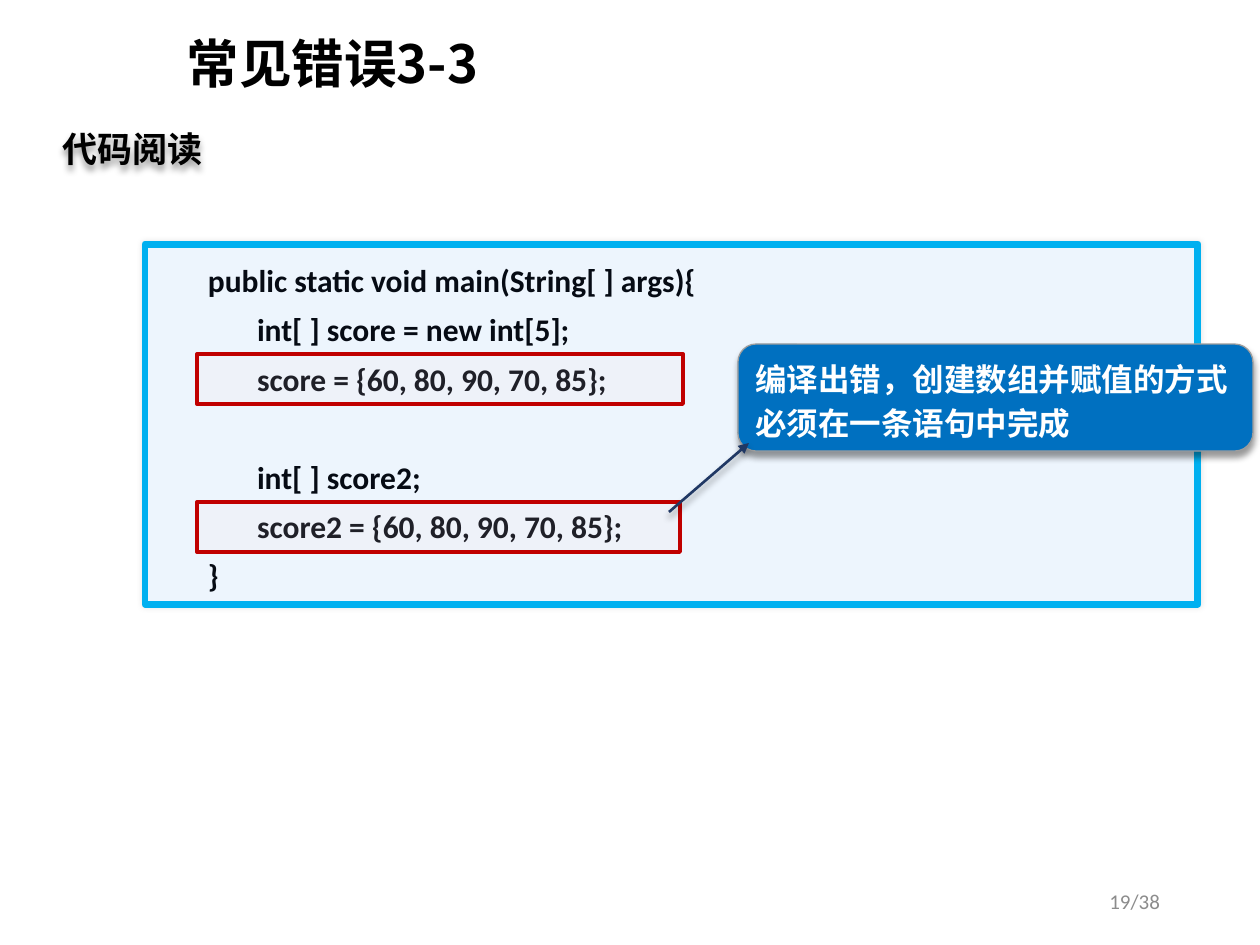
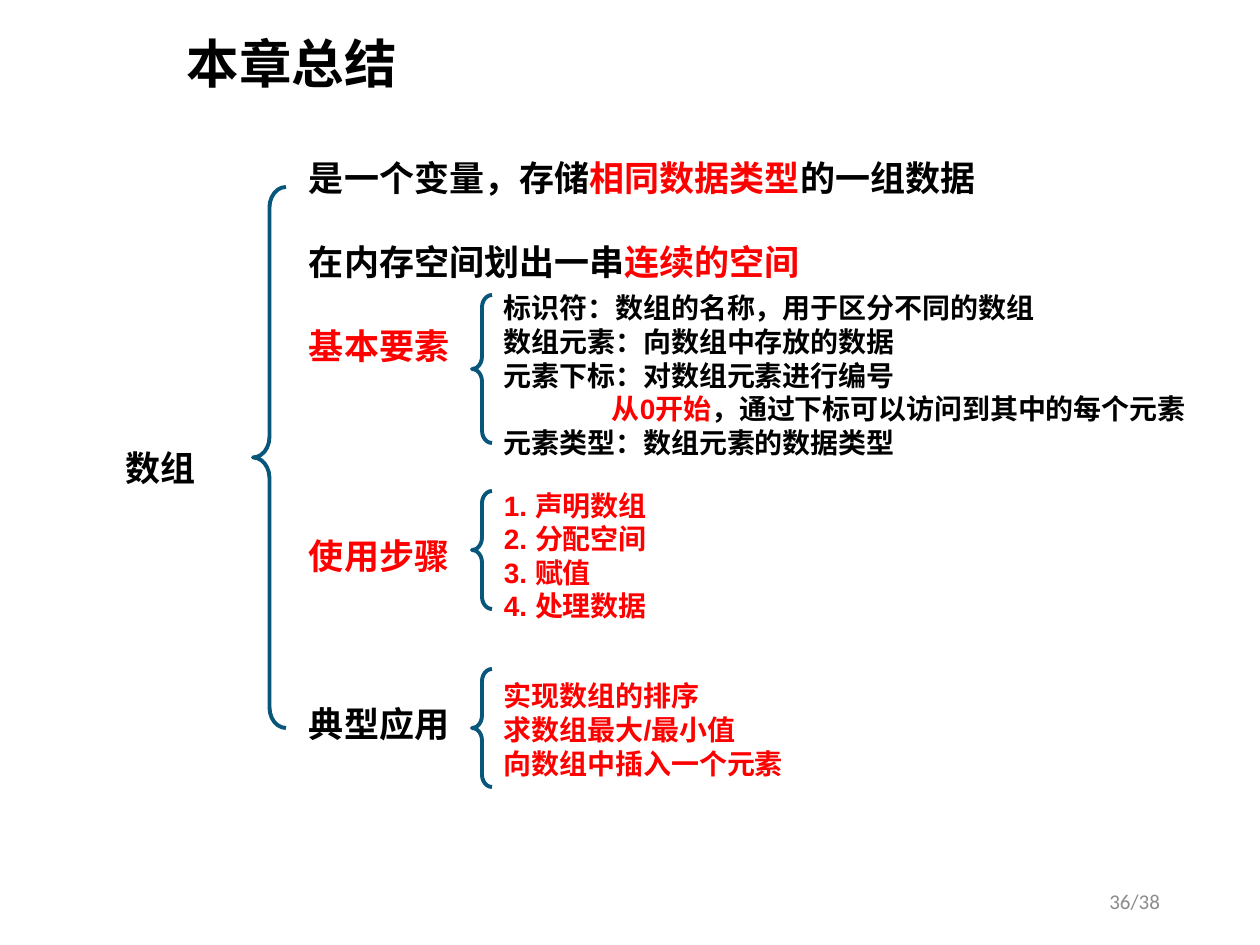
"""Build two lesson slides: a common array mistake and a chapter summary."""
from lxml import etree
from pptx import Presentation
from pptx.dml.color import RGBColor
from pptx.enum.shapes import MSO_CONNECTOR, MSO_SHAPE
from pptx.enum.text import MSO_ANCHOR, PP_ALIGN
from pptx.oxml.ns import qn
from pptx.util import Emu, Pt

PX = 914400 / 126
TOP, MIDDLE = MSO_ANCHOR.TOP, MSO_ANCHOR.MIDDLE
LEFT, CENTER, RIGHT = PP_ALIGN.LEFT, PP_ALIGN.CENTER, PP_ALIGN.RIGHT
PANEL, CALLOUT = MSO_SHAPE.ROUNDED_RECTANGLE, MSO_SHAPE.ROUNDED_RECTANGULAR_CALLOUT
FRAME, BRACE = MSO_SHAPE.RECTANGLE, MSO_SHAPE.LEFT_BRACE
STRAIGHT = MSO_CONNECTOR.STRAIGHT
CJK_FONT = "Noto Sans CJK SC"
COLORS = {
    "black": "000000", "red": "FF0000", "white": "FFFFFF", "code": "060B14",
    "panel": "EDF5FD", "panel_edge": "00B0F0", "callout": "0070C0",
    "callout_edge": "9D9D9D", "mark": "FFDDDD", "mark_edge": "C00000",
    "arrow": "203864", "brace": "08577A", "page": "8C8C8C",
}
STYLES = {
    "title": {"size": 30, "name": CJK_FONT, "color": "black", "bold": True, "spacing": 0.9},
    "label": {"size": 20, "name": CJK_FONT, "color": "black", "bold": True, "spacing": Pt(24)},
    "point": {"size": 20, "name": "Arial", "color": "black", "bold": True, "spacing": Pt(24)},
    "detail": {"size": 16, "name": "Arial", "color": "black", "bold": True, "spacing": Pt(19.2)},
    "callout": {"size": 18, "name": "Arial", "color": "white", "bold": True, "spacing": Pt(21.6)},
    "code": {"size": 18, "name": "Calibri", "color": "code", "bold": True, "spacing": 1.3},
    "page": {"size": 12, "name": "Calibri", "color": "page", "bold": False, "spacing": 1.0},
}
SOFT_SHADOW = {"alpha": 40, "blur": 4, "dist": 3, "dir": 90}
PANEL_SHADOW = {"alpha": 10, "blur": 3, "dist": 0, "dir": 0}


def px(length):
    """Turn px into EMU."""
    return Emu(round(length * PX))


def rgb(color):
    """Look up a named colour."""
    return RGBColor.from_string(COLORS[color])


def set_shadow(shape, shadow=None):
    """Give a shape the described shadow, or none."""
    effects = etree.SubElement(shape._element.spPr, qn("a:effectLst"))
    if shadow:
        outer = etree.SubElement(
            effects, qn("a:outerShdw"), blurRad=str(Pt(shadow["blur"])),
            dist=str(Pt(shadow["dist"])), dir=str(shadow["dir"] * 60000),
            algn="ctr", rotWithShape="0")
        black = etree.SubElement(outer, qn("a:srgbClr"), val=COLORS["black"])
        etree.SubElement(black, qn("a:alpha"), val=str(shadow["alpha"] * 1000))


def write(shape, lines, style, anchor=TOP, align=LEFT, insets=(13, 6, 13, 6)):
    """Write lines given as (runs, blank space before in pt, indent in px)."""
    frame = shape.text_frame
    left, top, right, bottom = map(px, insets)
    settings = {"word_wrap": True, "vertical_anchor": anchor, "margin_left": left,
                "margin_top": top, "margin_right": right, "margin_bottom": bottom}
    for key, value in settings.items():
        setattr(frame, key, value)
    look = STYLES[style]
    for index, (runs, before, indent) in enumerate(lines):
        paragraph = frame.paragraphs[0] if index == 0 else frame.add_paragraph()
        layout = {"alignment": align, "line_spacing": look["spacing"],
                  "space_before": Pt(before), "space_after": Pt(0)}
        for key, value in layout.items():
            setattr(paragraph, key, value)
        paragraph._p.get_or_add_pPr().set("marL", str(px(indent)))
        for text, color in runs:
            run = paragraph.add_run()
            run.text = text
            font_values = {"size": Pt(look["size"]), "name": look["name"], "bold": look["bold"]}
            for key, value in font_values.items():
                setattr(run.font, key, value)
            run.font.color.rgb = rgb(color or look["color"])
            latin = run._r.get_or_add_rPr().find(qn("a:latin"))
            east_asian = etree.Element(qn("a:ea"), typeface=CJK_FONT)
            latin.addnext(east_asian)


def line_of(text, color=None, before=0, indent=0):
    """Describe a line that has one run."""
    return [(text, color)], before, indent


def add_text(slide, box, lines, style, **options):
    """Add a text box."""
    text_box = slide.shapes.add_textbox(*map(px, box))
    write(text_box, lines, style, **options)
    return text_box


def add_figure(slide, kind, box, edge, width, fill=None, adjust=(), shadow=None):
    """Add a preset shape with its fill, outline and shadow."""
    figure = slide.shapes.add_shape(kind, *map(px, box))
    for index, value in enumerate(adjust):
        figure.adjustments[index] = value
    if fill:
        figure.fill.solid()
        figure.fill.fore_color.rgb = rgb(fill)
    else:
        figure.fill.background()
    figure.line.color.rgb = rgb(edge)
    figure.line.width = Pt(width)
    set_shadow(figure, shadow)
    return figure


def add_base(deck, title, page):
    """Add a slide with the shared title and page number."""
    slide = deck.slides.add_slide(deck.slide_layouts[6])
    add_text(slide, (174, 12, 1086, 110), [line_of(title)], "title", anchor=MIDDLE)
    add_text(slide, (890, 876, 283, 50), [line_of(f"{page}/38")], "page",
             anchor=MIDDLE, align=RIGHT)
    return slide


def add_code_panel(slide, box):
    """Add the code listing and frame its two wrong lines."""
    left, top, _, _ = box
    base, nested = 63, 112
    code = [
        line_of("public static void main(String[ ] args){", indent=base),
        line_of("int[ ] score = new int[5];", indent=nested),
        line_of("score = {60, 80, 90, 70, 85};", indent=nested),
        line_of("int[ ] score2;", before=28, indent=nested),
        line_of("score2 = {60, 80, 90, 70, 85};", indent=nested),
        line_of("}", indent=base),
    ]
    panel = add_figure(slide, PANEL, box, "panel_edge", 4, "panel", (0,), PANEL_SHADOW)
    write(panel, code, "code", insets=(0, 6, 0, 6))
    for offset, width in ((110, 486), (258, 483)):
        mark = add_figure(slide, FRAME, (left + 52, top + offset, width, 50),
                          "mark_edge", 2.25, "mark")
        tint = mark._element.spPr.find(qn("a:solidFill")).find(qn("a:srgbClr"))
        etree.SubElement(tint, qn("a:alpha"), val="10000")


def add_error_callout(slide, box):
    """Add the explanation and the arrow that leads to it."""
    left, top, _, _ = box
    callout = add_figure(slide, CALLOUT, box, "callout_edge", 0.75, "callout",
                         (-0.5, -0.02, 0.17), SOFT_SHADOW)
    reasons = [line_of("编译出错，创建数组并赋值的方式"),
               line_of("必须在一条语句中完成", before=3.6)]
    write(callout, reasons, "callout", anchor=MIDDLE, insets=(12, 12, 2, 6))
    ends = (left - 69, top + 168, left + 11, top + 99)
    arrow = slide.shapes.add_connector(STRAIGHT, *map(px, ends))
    arrow.line.color.rgb = rgb("arrow")
    arrow.line.width = Pt(1.5)
    etree.SubElement(arrow.line._get_or_add_ln(), qn("a:tailEnd"), type="triangle")
    set_shadow(arrow, SOFT_SHADOW)


def add_points(slide, box):
    """Add the main points, spaced by the height of their details."""
    gap = 24
    points = [
        ([("是一个变量，存储", None), ("相同数据类型", "red"), ("的一组数据", None)], 0, 0),
        ([("在内存空间划出一串", None), ("连续的空间", "red")], gap, 0),
        line_of("基本要素", "red", before=gap),
        line_of("使用步骤", "red", before=4 * gap),
        line_of("典型应用", before=3 * gap),
    ]
    add_text(slide, box, points, "point")


def add_brace(slide, box):
    """Add a left brace."""
    add_figure(slide, BRACE, box, "brace", 2.25, adjust=(0.62, 0.5))


def add_details(slide, brace_top, brace_height, text_top, lines):
    """Add a small brace and the lines it gathers."""
    left = 472
    add_brace(slide, (left, brace_top, 20, brace_height))
    add_text(slide, (left + 19, text_top, 768, 34 * len(lines) + 12), lines, "detail")


def build_mistake(deck):
    """Build the slide on the common mistake."""
    slide = add_base(deck, "常见错误3-3", 19)
    heading = add_text(slide, (49, 121, 168, 55), [line_of("代码阅读")], "label")
    set_shadow(heading, SOFT_SHADOW)
    add_code_panel(slide, (145, 244, 1053, 360))
    add_error_callout(slide, (738, 344, 515, 107))


def build_summary(deck):
    """Build the chapter summary."""
    slide = add_base(deck, "本章总结", 36)
    add_text(slide, (35, 440, 251, 55), [line_of("数组")], "point", align=CENTER)
    add_brace(slide, (253, 187, 33, 541))
    add_points(slide, (296, 150, 835, 649))
    elements = [
        line_of("标识符：数组的名称，用于区分不同的数组"),
        line_of("数组元素：向数组中存放的数据"),
        line_of("元素下标：对数组元素进行编号"),
        ([("从0开始", "red"), ("，通过下标可以访问到其中的每个元素", None)], 0, 108),
        line_of("元素类型：数组元素的数据类型"),
    ]
    steps = [line_of(f"{number}. {step}", "red") for number, step in
             enumerate(("声明数组", "分配空间", "赋值", "处理数据"), 1)]
    uses = [line_of(use, "red") for use in
            ("实现数组的排序", "求数组最大/最小值", "向数组中插入一个元素")]
    add_details(slide, 295, 148, 285, elements)
    add_details(slide, 491, 118, 482, steps)
    add_details(slide, 669, 118, 673, uses)


def main():
    """Build and save the deck."""
    deck = Presentation()
    deck.slide_width, deck.slide_height = px(1260), px(945)
    build_mistake(deck)
    build_summary(deck)
    deck.save("out.pptx")


if __name__ == "__main__":
    main()
